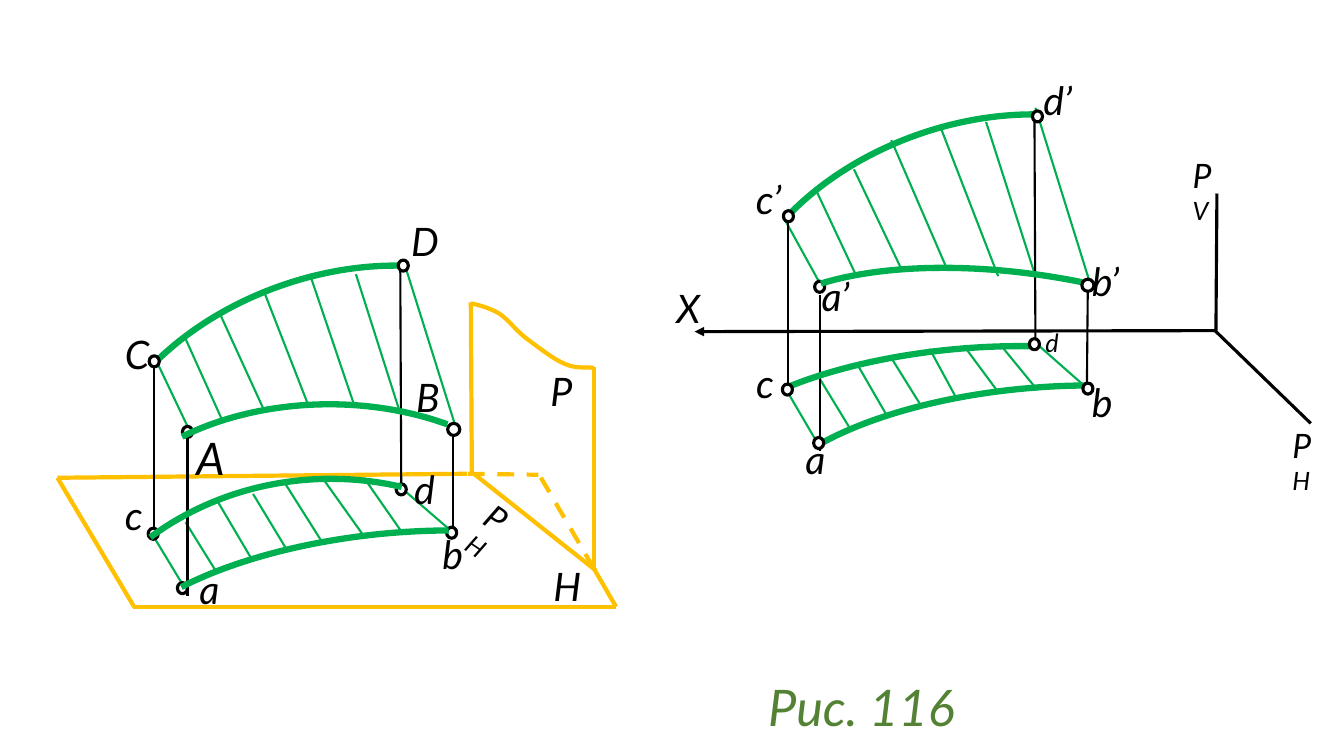
from dataclasses import dataclass

from lxml import etree
from pptx import Presentation
from pptx.dml.color import RGBColor
from pptx.enum.dml import MSO_LINE
from pptx.enum.shapes import MSO_CONNECTOR, MSO_SHAPE
from pptx.enum.text import MSO_AUTO_SIZE
from pptx.oxml.ns import qn
from pptx.util import Inches, Pt

STRAIGHT = MSO_CONNECTOR.STRAIGHT
ARC, OVAL = MSO_SHAPE.ARC, MSO_SHAPE.OVAL
DASH = MSO_LINE.DASH
FIT = MSO_AUTO_SIZE.SHAPE_TO_FIT_TEXT

BLACK = RGBColor(0x00, 0x00, 0x00)
WHITE = RGBColor(0xFF, 0xFF, 0xFF)
GREEN = RGBColor(0x00, 0xB0, 0x50)
AMBER = RGBColor(0xFF, 0xC0, 0x00)
OLIVE = RGBColor(0x54, 0x82, 0x35)
FONT = "Lato"


@dataclass
class Stroke:
    color: RGBColor
    width: float
    segments: list
    dashed: bool = False
    arrow: bool = False


@dataclass
class Arc:
    left: float
    top: float
    width: float
    height: float
    rotation: float
    start: float
    end: float


@dataclass
class Dot:
    left: float
    top: float
    width: float = 0.1
    height: float = 0.11


@dataclass
class Label:
    text: str
    left: float
    top: float
    width: float = 0.41
    height: float = 0.57
    size: float = 28
    wrap: bool = False
    sub: str = ""
    rotation: float = 0
    color: RGBColor = BLACK


PLANES = Stroke(AMBER, 3, [
    (5.91, 5.66, 4.7, 4.7), (4.68, 4.71, 4.67, 3), (5.89, 5.65, 5.89, 3.64),
    (0.57, 4.74, 4.63, 4.7), (1.32, 6.02, 6.11, 6.02),
    (6.11, 6.02, 5.89, 5.64), (1.33, 6.02, 0.57, 4.74)])
HIDDEN_EDGES = Stroke(AMBER, 3, [
    (4.64, 4.7, 5.34, 4.71), (5.89, 5.64, 5.36, 4.73)], dashed=True)
X_AXIS = Stroke(BLACK, 2.25, [(12.06, 3.28, 6.89, 3.29)], arrow=True)
TRACES = Stroke(BLACK, 2.25, [
    (12.07, 1.92, 12.06, 3.28), (12.04, 3.27, 13, 4.2)])
RULINGS = Stroke(GREEN, 1.5, [
    (1.57, 3.62, 1.86, 4.23), (1.84, 3.36, 2.2, 4.16), (2.18, 3.11, 2.61, 4.05),
    (2.61, 2.87, 3.05, 4), (3.08, 2.74, 3.51, 4.01), (3.53, 2.72, 3.96, 4.07),
    (4, 2.58, 4.54, 4.3),
    (1.51, 5.3, 1.83, 5.83), (1.84, 5.18, 2.15, 5.68), (2.15, 4.96, 2.51, 5.57),
    (2.51, 4.9, 2.83, 5.43), (2.83, 4.8, 3.19, 5.37), (3.19, 4.73, 3.61, 5.32),
    (3.61, 4.74, 4, 5.3), (3.98, 4.84, 4.49, 5.28),
    (7.79, 2.19, 8.17, 2.88), (8.1, 1.9, 8.49, 2.73), (8.47, 1.68, 8.95, 2.69),
    (8.84, 1.39, 9.38, 2.64), (9.32, 1.24, 9.9, 2.74), (9.78, 1.21, 10.27, 2.74),
    (10.27, 1.07, 10.83, 2.87),
    (7.8, 3.87, 8.11, 4.4), (8.12, 3.74, 8.43, 4.25), (8.5, 3.61, 8.8, 4.13),
    (8.84, 3.55, 9.12, 4), (9.22, 3.46, 9.48, 3.94), (9.56, 3.43, 9.9, 3.89),
    (9.93, 3.43, 10.29, 3.87), (10.27, 3.4, 10.78, 3.85)])
PROJECTORS = Stroke(BLACK, 1.5, [
    (7.82, 2.2, 7.82, 3.86), (8.13, 2.93, 8.13, 4.47),
    (10.79, 2.77, 10.78, 3.83), (10.26, 1.15, 10.27, 3.46),
    (1.53, 3.63, 1.53, 5.3), (1.86, 4.34, 1.86, 5.91),
    (4.49, 4.22, 4.49, 5.28), (3.97, 2.58, 3.98, 4.9)])
STROKES = [PLANES, HIDDEN_EDGES, X_AXIS, RULINGS, PROJECTORS, TRACES]

WAVY_EDGE = [
    (4.67, 3.01), (4.77, 3.03), (4.86, 3.06), (4.95, 3.11), (5.04, 3.17),
    (5.1, 3.26), (5.21, 3.35), (5.32, 3.43), (5.48, 3.56), (5.6, 3.61),
    (5.71, 3.66), (5.81, 3.64), (5.89, 3.65)]

BACK_ARCS = [
    Arc(0.87, 2.74, 4.93, 3.31, 160.8, 25.45, 77.31),
    Arc(7.19, 1.24, 4.93, 3.31, 160.8, 25.45, 77.31),
    Arc(6.8, 3.45, 5.77, 2.29, 175.8, 15.68, 72.26),
    Arc(7.49, 3.84, 5.77, 2.29, 175.8, 11.26, 68.37)]
FRONT_ARCS = [
    Arc(0.8, 4.01, 4.93, 3.31, 180, 25.45, 77.31),
    Arc(1.02, 5.29, 5.77, 2.29, 174.5, 13, 72.26),
    Arc(7.36, 2.73, 5.77, 2.29, 189, 10.68, 65.45),
    Arc(0.42, 4.75, 5.74, 5.29, 181, 28.75, 62.49)]

DOTS = [
    Dot(1.48, 3.53), Dot(7.77, 2.09), Dot(10.24, 1.1), Dot(8.08, 2.79),
    Dot(8.07, 4.34), Dot(7.76, 3.81), Dot(10.21, 3.36), Dot(10.74, 3.8),
    Dot(4.44, 4.2, 0.12, 0.12), Dot(1.81, 4.23), Dot(1.76, 5.78),
    Dot(3.93, 4.8), Dot(4.43, 5.23), Dot(1.47, 5.24), Dot(3.95, 2.58)]
FRONT_DOT = Dot(10.73, 2.77, 0.12, 0.12)

LABELS = [
    Label("D", 3.98, 2.11), Label("A", 1.85, 4.22, 0.55, 0.64, 32, True),
    Label("P", 5.36, 3.59), Label("B", 4.03, 3.65),
    Label("C", 1.14, 3.23, 0.39), Label("H", 5.39, 5.53),
    Label("X", 6.61, 2.77, 0.44),
    Label("a", 1.88, 5.56, 0.35, wrap=True), Label("b", 4.29, 5.21, 0.35, wrap=True),
    Label("c", 1.14, 4.83, 0.35, wrap=True), Label("d", 4.01, 4.57, 0.35, wrap=True),
    Label("a", 7.89, 4.27, 0.35, wrap=True), Label("b", 10.73, 3.7, 0.35, wrap=True),
    Label("c", 7.4, 3.52, 0.35, wrap=True),
    Label("d", 10.27, 3.2, 0.35, 0.4, 18, True),
    Label("a’", 8.05, 2.65, 0.51, wrap=True), Label("b’", 10.73, 2.5, 0.55, wrap=True),
    Label("c’", 7.4, 1.69, 0.54, wrap=True), Label("d’", 10.25, 0.71, 0.57, wrap=True),
    Label("P", 4.72, 4.92, 0.52, 0.5, 24, True, "H", 34.1),
    Label("P", 12.72, 4.17, 0.52, 0.5, 24, True, "H"),
    Label("P", 11.73, 1.49, 0.53, 0.5, 24, True, "V"),
    Label("Рис. 116", 7.52, 6.66, 2.22, 0.71, 36, True, color=OLIVE)]


def add_strokes(s, stroke: Stroke) -> None:
    for x1, y1, x2, y2 in stroke.segments:
        c = s.shapes.add_connector(STRAIGHT, Inches(x1), Inches(y1), Inches(x2), Inches(y2))
        c.line.color.rgb = stroke.color
        c.line.width = Pt(stroke.width)
        if stroke.dashed:
            c.line.dash_style = DASH
        if stroke.arrow:
            etree.SubElement(c.line._get_or_add_ln(), qn("a:tailEnd"), type="triangle")
        etree.SubElement(c._element.spPr, qn("a:effectLst"))


def format_outline(sp, color: RGBColor, width: float) -> None:
    sp.shadow.inherit = False
    sp.fill.background()
    sp.line.color.rgb = color
    sp.line.width = Pt(width)


def add_preset(s, kind, box):
    return s.shapes.add_shape(kind, Inches(box.left), Inches(box.top),
                              Inches(box.width), Inches(box.height))


def add_arc(s, arc: Arc) -> None:
    sp = add_preset(s, ARC, arc)
    sp.adjustments[0], sp.adjustments[1] = arc.start, arc.end
    sp.rotation = arc.rotation
    format_outline(sp, GREEN, 4.5)


def add_dot(s, dot: Dot) -> None:
    sp = add_preset(s, OVAL, dot)
    format_outline(sp, BLACK, 2.25)
    sp.fill.solid()
    sp.fill.fore_color.rgb = WHITE


def add_curve(s, controls: list, steps: int = 8) -> None:
    points = [controls[0]]
    for i in range(0, len(controls) - 1, 3):
        for t in (k / steps for k in range(1, steps + 1)):
            weights = ((1 - t) ** 3, 3 * t * (1 - t) ** 2, 3 * t * t * (1 - t), t ** 3)
            points.append(tuple(sum(w * q[axis] for w, q in zip(weights, controls[i:i + 4]))
                                for axis in (0, 1)))
    points = [(Inches(x), Inches(y)) for x, y in points]
    builder = s.shapes.build_freeform(*points[0])
    builder.add_line_segments(points[1:], close=False)
    format_outline(builder.convert_to_shape(), AMBER, 3)


def add_run(p, text: str, *, size: float, color: RGBColor) -> None:
    r = p.add_run()
    r.text = text
    r.font.name = FONT
    r.font.size = Pt(size)
    r.font.italic = True
    r.font.color.rgb = color


def add_label(s, label: Label) -> None:
    sp = s.shapes.add_textbox(Inches(label.left), Inches(label.top),
                              Inches(label.width), Inches(label.height))
    sp.rotation = label.rotation
    tf = sp.text_frame
    tf.word_wrap = label.wrap
    tf.auto_size = FIT
    p = tf.paragraphs[0]
    add_run(p, label.text, size=label.size, color=label.color)
    if label.sub:
        add_run(p, label.sub, size=18, color=label.color)


def main() -> None:
    prs = Presentation()
    prs.slide_width, prs.slide_height = Inches(13.33), Inches(7.5)
    s = prs.slides.add_slide(prs.slide_layouts[6])
    for stroke in STROKES:
        add_strokes(s, stroke)
    add_curve(s, WAVY_EDGE)
    for arc in BACK_ARCS:
        add_arc(s, arc)
    for dot in DOTS:
        add_dot(s, dot)
    for arc in FRONT_ARCS:
        add_arc(s, arc)
    add_dot(s, FRONT_DOT)
    for label in LABELS:
        add_label(s, label)
    prs.save("out.pptx")


if __name__ == "__main__":
    main()
